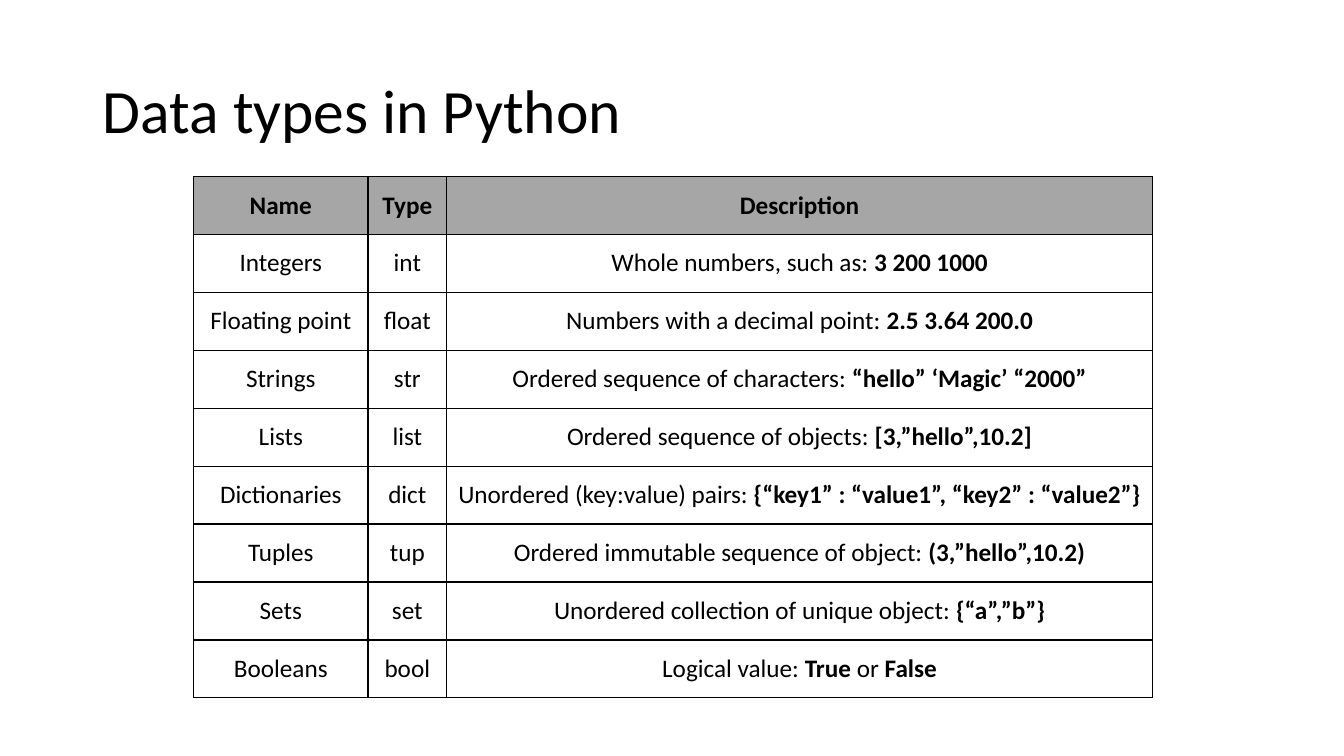
"""Build a slide with a table of Python data types."""
from lxml import etree
from pptx import Presentation
from pptx.dml.color import RGBColor
from pptx.enum.text import MSO_ANCHOR, PP_ALIGN
from pptx.oxml.ns import qn
from pptx.util import Inches, Pt

MIDDLE = MSO_ANCHOR.MIDDLE
LEFT, CENTER = PP_ALIGN.LEFT, PP_ALIGN.CENTER
FONT, BLACK, GREY = "Calibri", "000000", "A6A6A6"
WIDTHS = [1.73, 0.78, 7]
ROW = 0.575

ROWS = [
    ("*Name", "*Type", "*Description"),
    ("Integers", "int", "Whole numbers, such as: *3 200 1000"),
    ("Floating point", "float", "Numbers with a decimal point: *2.5 3.64 200.0"),
    ("Strings", "str", "Ordered sequence of characters: *“hello” ‘Magic’ “2000”"),
    ("Lists", "list", "Ordered sequence of objects: *[3,”hello”,10.2]"),
    ("Dictionaries", "dict",
     "Unordered (key:value) pairs: *{“key1” : “value1”, “key2” : “value2”}"),
    ("Tuples", "tup", "Ordered immutable sequence of object: *(3,”hello”,10.2)"),
    ("Sets", "set", "Unordered collection of unique object: *{“a”,”b”}"),
    ("Booleans", "bool", "Logical value: *True* or *False"),
]


def style(para, size, align):
    para.alignment = align
    para.font.name = FONT
    para.font.size = Pt(size)
    para.font.color.rgb = RGBColor.from_string(BLACK)


def border(cell):
    props = cell._tc.get_or_add_tcPr()
    for side in ("a:lnL", "a:lnR", "a:lnT", "a:lnB"):
        line = etree.SubElement(props, qn(side), w=str(Pt(1)))
        fill = etree.SubElement(line, qn("a:solidFill"))
        etree.SubElement(fill, qn("a:srgbClr"), val=BLACK)


deck = Presentation()
deck.slide_width, deck.slide_height = Inches(13.33), Inches(7.5)
slide = deck.slides.add_slide(deck.slide_layouts[5])

title = slide.shapes.title
title.left, title.top = Inches(0.92), Inches(0.4)
title.width, title.height = Inches(11.5), Inches(1.45)
title.text_frame.text = "Data types in Python"
title.text_frame.vertical_anchor = MIDDLE
head = title.text_frame.paragraphs[0]
head.line_spacing = 0.9
style(head, 44, LEFT)

table = slide.shapes.add_table(
    len(ROWS), len(WIDTHS), Inches(1.92), Inches(1.75),
    Inches(sum(WIDTHS)), Inches(ROW * len(ROWS))).table
for col, width in zip(table.columns, WIDTHS):
    col.width = Inches(width)

for r, texts in enumerate(ROWS):
    table.rows[r].height = Inches(ROW)
    for c, text in enumerate(texts):
        cell = table.cell(r, c)
        cell.vertical_anchor = MIDDLE
        border(cell)
        if r == 0:
            cell.fill.solid()
            cell.fill.fore_color.rgb = RGBColor.from_string(GREY)
        else:
            cell.fill.background()
        para = cell.text_frame.paragraphs[0]
        style(para, 18, CENTER)
        for i, part in enumerate(text.split("*")):
            if part:
                run = para.add_run()
                run.text = part
                run.font.name = FONT
                run.font.size = Pt(18)
                run.font.color.rgb = RGBColor.from_string(BLACK)
                run.font.bold = i % 2 == 1

deck.save("out.pptx")
